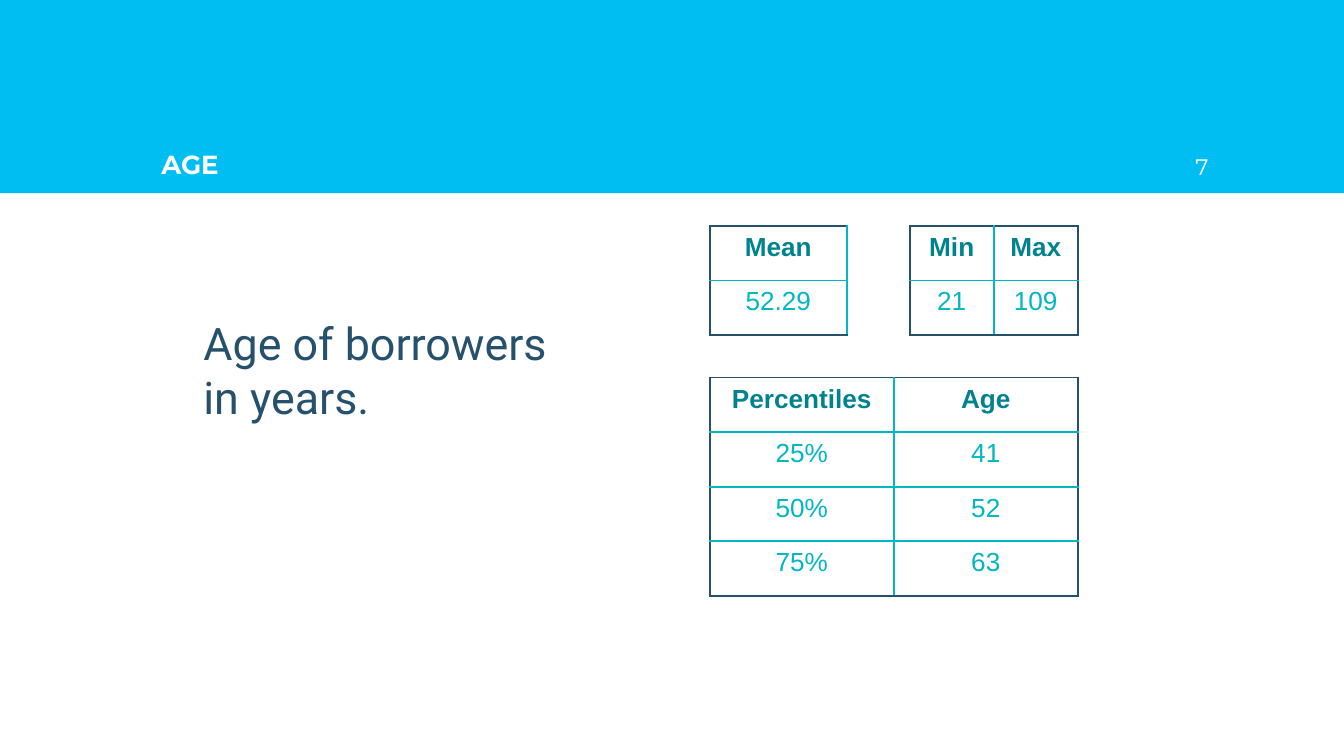
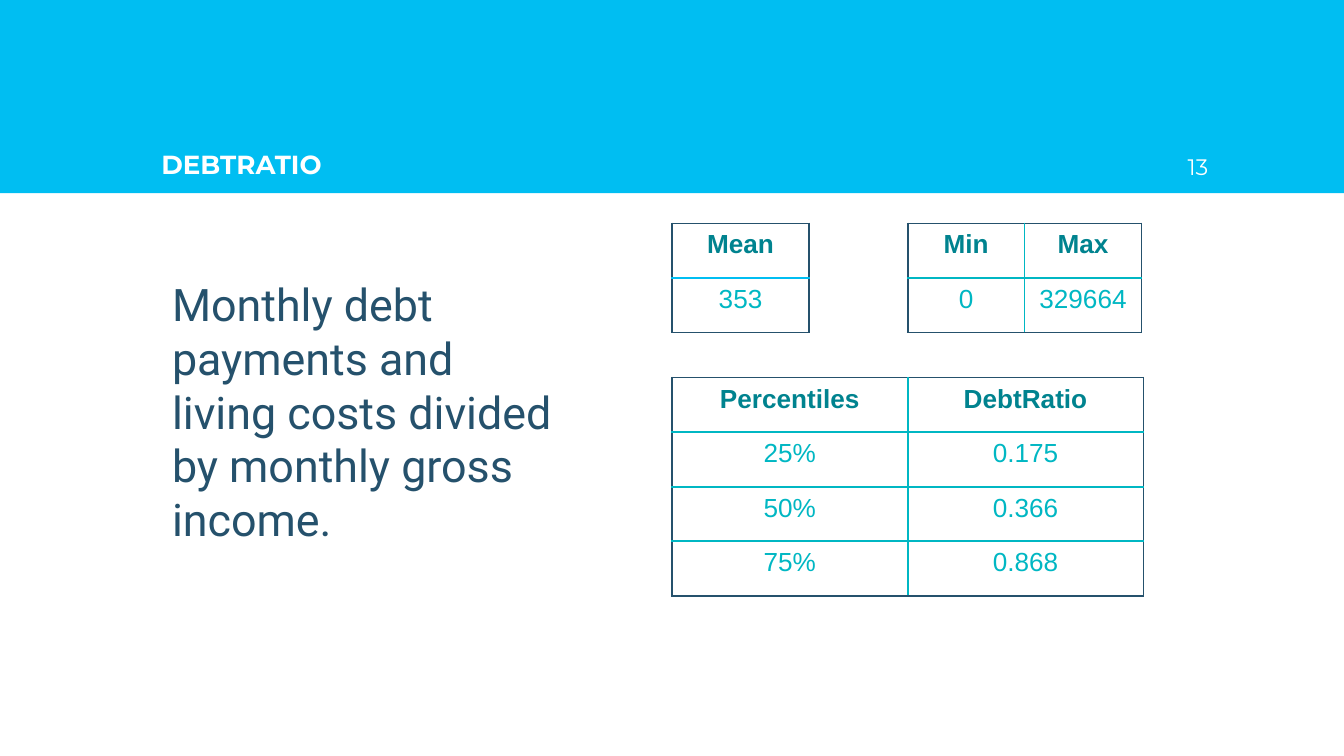
"""Builds two slides of borrower statistics, each with a title band, a definition and three small tables."""
from lxml import etree
from pptx import Presentation
from pptx import util as u
from pptx.dml import color as c
from pptx.enum import shapes, text
from pptx.oxml import ns

SKY, NAVY, TEAL, DARK_TEAL, WHITE = "00BEF2", "25516C", "00B7C3", "00838F", "FFFFFF"
ROW_HEIGHT = 29.25
BAND_HEIGHT = 103.5
TITLE_TOP = 51
INSET = 7.2


def rgb(hex_color):
    return c.RGBColor.from_string(hex_color)


def write(frame, words, font, size, color, align=text.PP_ALIGN.LEFT, bold=False):
    paragraph = frame.paragraphs[0]
    paragraph.alignment = align
    run = paragraph.add_run()
    run.text = words
    run.font.name = font
    run.font.size = u.Pt(size)
    run.font.bold = bold
    run.font.color.rgb = rgb(color)
    return paragraph


variables = [
    {
        "title": "AGE", "number": "7",
        "definition": "Age of borrowers in years.",
        "body": (96, 162, 224, 80.6), "space_before": 6,
        "tables": [
            (487.4, 121, 90, [["Min", "Max"], ["21", "109"]], TEAL, NAVY),
            (380.2, 202.3, 197.2, [["Percentiles", "Age"], ["25%", "41"], ["50%", "52"], ["75%", "63"]], TEAL, NAVY),
            (380.2, 121, 73.5, [["Mean"], ["52.29"]], TEAL, TEAL),
        ],
    },
    {
        "title": "DEBTRATIO", "number": "13",
        "definition": "Monthly debt payments and living costs divided by monthly gross income.",
        "body": (79.2, 141.1, 224, 160), "space_before": 0,
        "tables": [
            (486.3, 119.7, 125.2, [["Min", "Max"], ["0", "329664"]], TEAL, NAVY),
            (360, 202.3, 252.6, [["Percentiles", "DebtRatio"], ["25%", "0.175"], ["50%", "0.366"], ["75%", "0.868"]], TEAL, NAVY),
            (360, 119.7, 73.5, [["Mean"], ["353"]], SKY, NAVY),
        ],
    },
]

presentation = Presentation()
presentation.slide_width = u.Pt(720)
presentation.slide_height = u.Pt(405)

for variable in variables:
    slide = presentation.slides.add_slide(presentation.slide_layouts[1])
    title, body = slide.shapes.title, slide.placeholders[1]

    band = slide.shapes.add_shape(shapes.MSO_SHAPE.RECTANGLE, 0, 0, u.Pt(720), u.Pt(BAND_HEIGHT))
    band.shadow.inherit = False
    band.fill.solid()
    band.fill.fore_color.rgb = rgb(SKY)
    band.line.fill.background()
    title._element.addprevious(band._element)

    number = slide.shapes.add_textbox(0, 0, 0, 0)
    title_height = BAND_HEIGHT - TITLE_TOP
    for shape, box, anchor in [
        (title, (79.2, TITLE_TOP, 561.6, title_height), text.MSO_ANCHOR.BOTTOM),
        (number, (611.3, TITLE_TOP, 43.2, title_height), text.MSO_ANCHOR.BOTTOM),
        (body, variable["body"], text.MSO_ANCHOR.TOP),
    ]:
        shape.left, shape.top, shape.width, shape.height = [u.Pt(length) for length in box]
        frame = shape.text_frame
        frame.word_wrap = True
        frame.auto_size = text.MSO_AUTO_SIZE.NONE
        frame.vertical_anchor = anchor
        frame.margin_left = frame.margin_right = u.Pt(INSET)
        frame.margin_top = frame.margin_bottom = u.Pt(INSET)

    write(title.text_frame, variable["title"], "Montserrat", 14, WHITE, bold=True)
    write(number.text_frame, variable["number"], "Montserrat", 12, WHITE, text.PP_ALIGN.RIGHT)
    paragraph = write(body.text_frame, variable["definition"], "Roboto", 24, NAVY)
    paragraph.space_before = u.Pt(variable["space_before"])
    properties = paragraph._p.get_or_add_pPr()
    properties.set("marL", str(u.Pt(5.76)))
    properties.set("indent", "0")
    etree.SubElement(properties, ns.qn("a:buNone"))

    for left, top, width, rows, inner, right in variable["tables"]:
        last_row, last_column = len(rows) - 1, len(rows[0]) - 1
        table = slide.shapes.add_table(
            len(rows), len(rows[0]), u.Pt(left), u.Pt(top), u.Pt(width), u.Pt(ROW_HEIGHT * len(rows))
        ).table
        table.first_row = table.horz_banding = False
        for row_index, row in enumerate(rows):
            table.rows[row_index].height = u.Pt(ROW_HEIGHT)
            for column_index, words in enumerate(row):
                cell = table.cell(row_index, column_index)
                header = row_index == 0
                write(cell.text_frame, words, "Arial", 14, DARK_TEAL if header else TEAL,
                      text.PP_ALIGN.CENTER, header)
                borders = {
                    "lnL": NAVY if column_index == 0 else inner,
                    "lnR": right if column_index == last_column else inner,
                    "lnT": NAVY if header else inner,
                    "lnB": NAVY if row_index == last_row else inner,
                }
                cell_properties = cell._tc.get_or_add_tcPr()
                for side, color in borders.items():
                    line = etree.SubElement(cell_properties, ns.qn(f"a:{side}"), w=str(u.Pt(1)))
                    fill = etree.SubElement(line, ns.qn("a:solidFill"))
                    etree.SubElement(fill, ns.qn("a:srgbClr"), val=color)
                cell.fill.background()

presentation.save("out.pptx")
